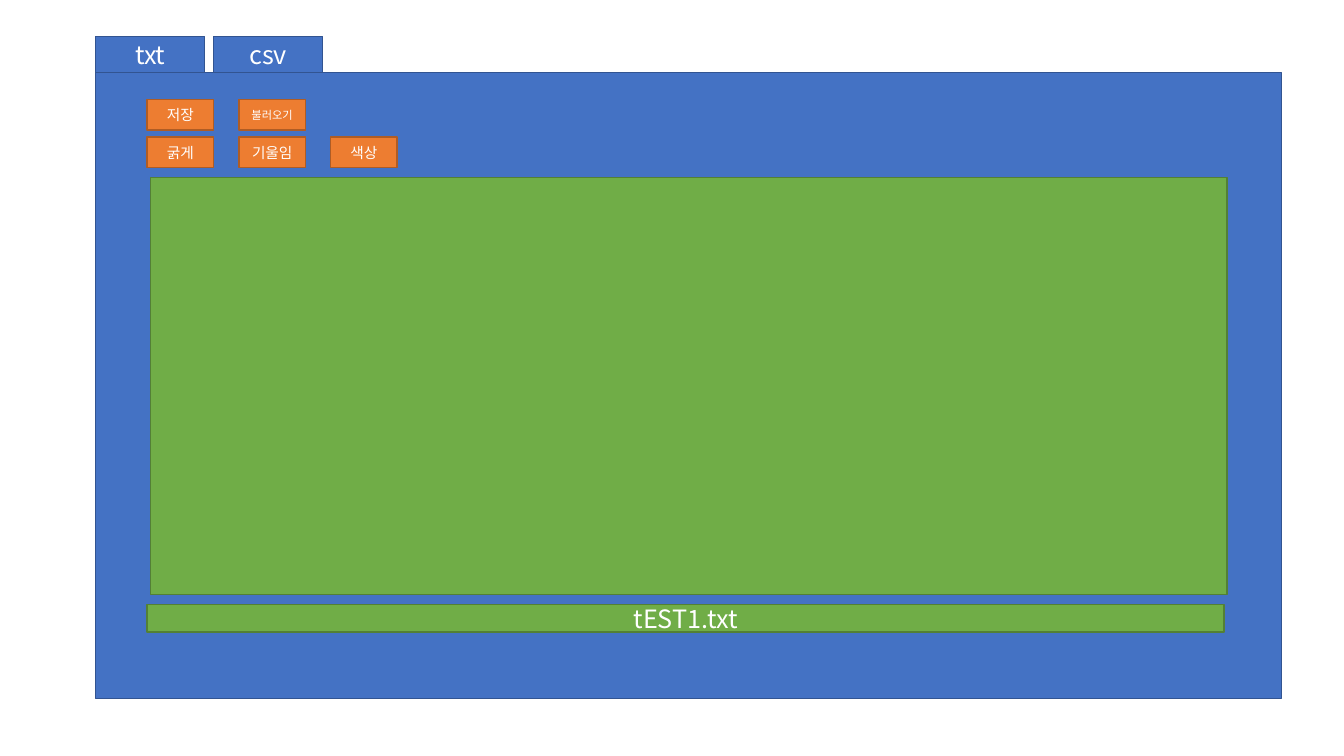
import lxml.etree
import pptx
import pptx.dml.color
import pptx.enum.shapes
import pptx.enum.text
import pptx.oxml.ns
import pptx.util

Inches = pptx.util.Inches
RGBColor = pptx.dml.color.RGBColor

WHITE = RGBColor(0xFF, 0xFF, 0xFF)
# Each style is a fill and its outline
BLUE = (RGBColor(0x44, 0x72, 0xC4), RGBColor(0x32, 0x54, 0x91))
ORANGE = (RGBColor(0xED, 0x7D, 0x31), RGBColor(0xAF, 0x5C, 0x24))
GREEN = (RGBColor(0x70, 0xAD, 0x47), RGBColor(0x53, 0x80, 0x35))


class EditorSlide:
    font_name = "Noto Sans CJK KR"

    def __init__(self, slide):
        self.slide = slide

    def box(self, left, top, width, height, style, text="", size=18):
        shape = self.slide.shapes.add_shape(
            pptx.enum.shapes.MSO_SHAPE.RECTANGLE,
            Inches(left), Inches(top), Inches(width), Inches(height))
        shape.shadow.inherit = False
        fill, outline = style
        shape.fill.solid()
        shape.fill.fore_color.rgb = fill
        shape.line.color.rgb = outline
        shape.line.width = pptx.util.Pt(1)
        if text:
            self.label(shape, text, size)

    def label(self, shape, text, size):
        frame = shape.text_frame
        frame.text = text
        frame.vertical_anchor = pptx.enum.text.MSO_ANCHOR.MIDDLE
        paragraph = frame.paragraphs[0]
        paragraph.alignment = pptx.enum.text.PP_ALIGN.CENTER
        paragraph.font.size = pptx.util.Pt(size)
        paragraph.font.color.rgb = WHITE
        paragraph.font.name = self.font_name
        # Korean text takes the East Asian typeface
        qn = pptx.oxml.ns.qn
        properties = paragraph._p.pPr.find(qn("a:defRPr"))
        lxml.etree.SubElement(properties, qn("a:ea"), typeface=self.font_name)

    def tab(self, column, text):
        self.box(0.95 + 1.17 * column, 0.36, 1.08, 0.36, BLUE, text)

    def button(self, row, column, text, size=10.5):
        self.box(1.46 + 0.91 * column, 0.99 + 0.37 * row, 0.66, 0.3,
                 ORANGE, text, size)


presentation = pptx.Presentation()
presentation.slide_width = Inches(13.33)
presentation.slide_height = Inches(7.5)
editor = EditorSlide(presentation.slides.add_slide(presentation.slide_layouts[6]))

# File type tabs
for column, name in enumerate(["txt", "csv"]):
    editor.tab(column, name)

# Window panel
editor.box(0.95, 0.72, 11.76, 6.21, BLUE)

# File buttons, then formatting buttons
editor.button(0, 0, "저장")
editor.button(0, 1, "불러오기", size=8)
for column, name in enumerate(["굵게", "기울임", "색상"]):
    editor.button(1, column, name)

# Text area and file name bar
editor.box(1.49, 1.76, 10.68, 4.14, GREEN)
editor.box(1.46, 6, 10.68, 0.27, GREEN, "tEST1.txt")

presentation.save("out.pptx")
